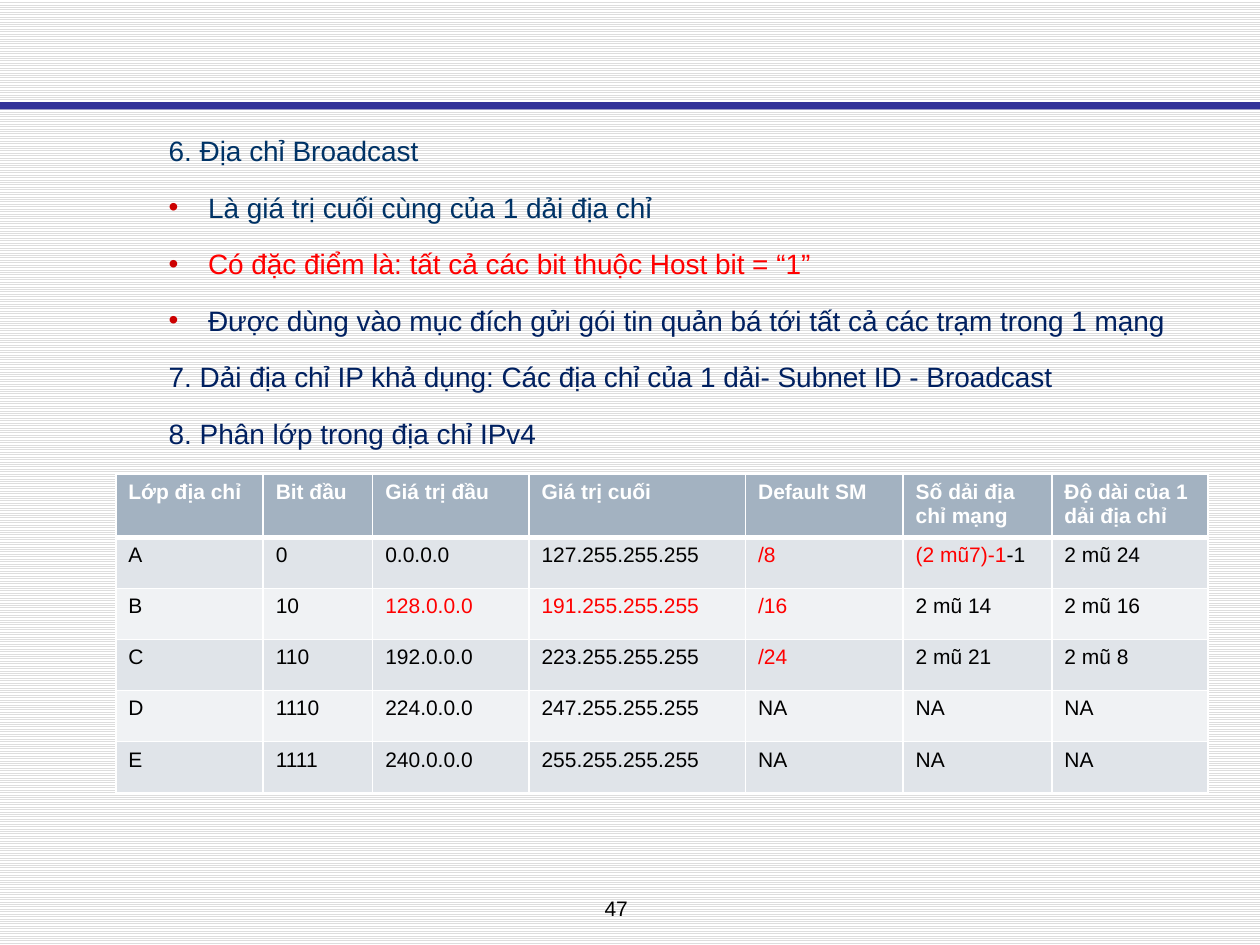
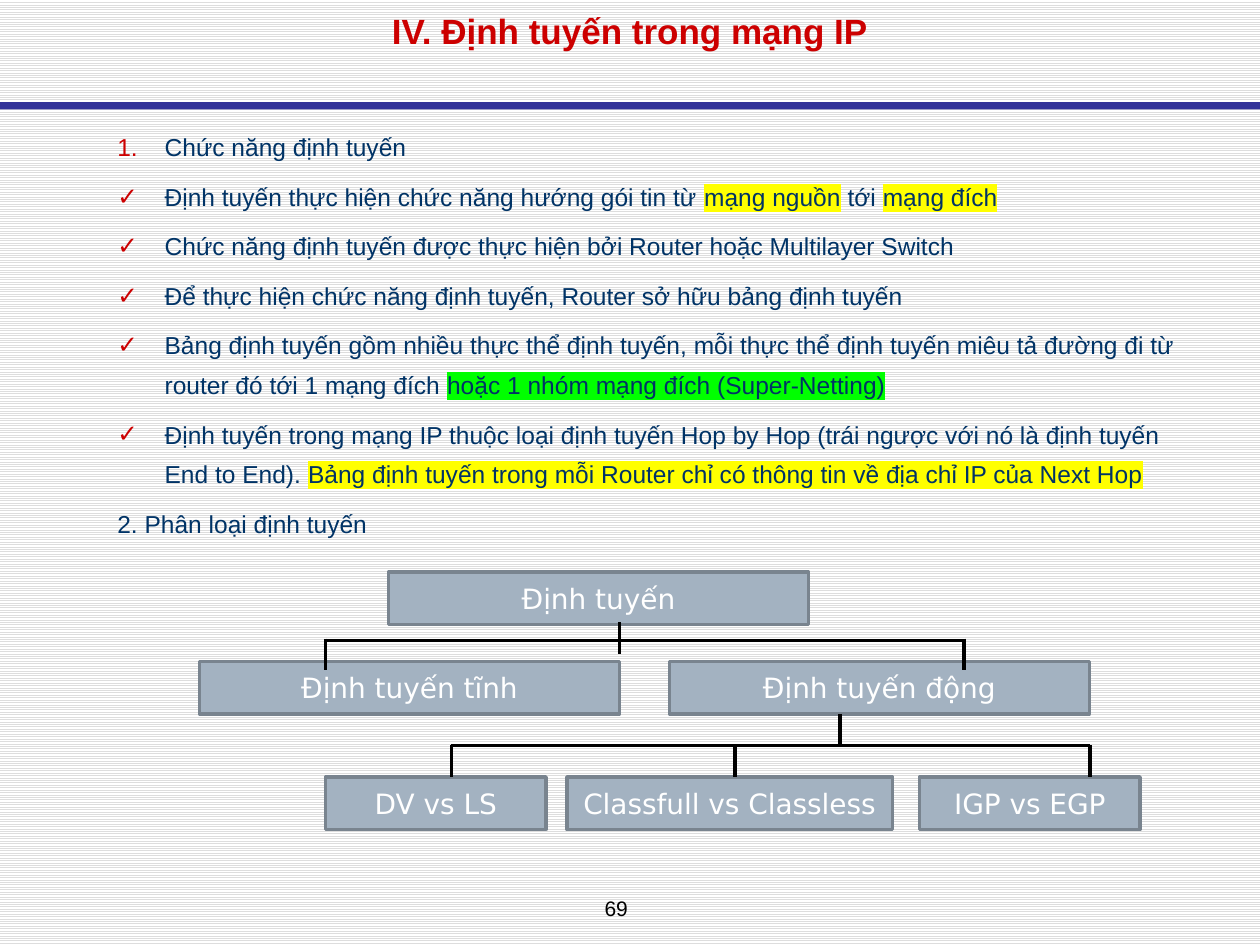
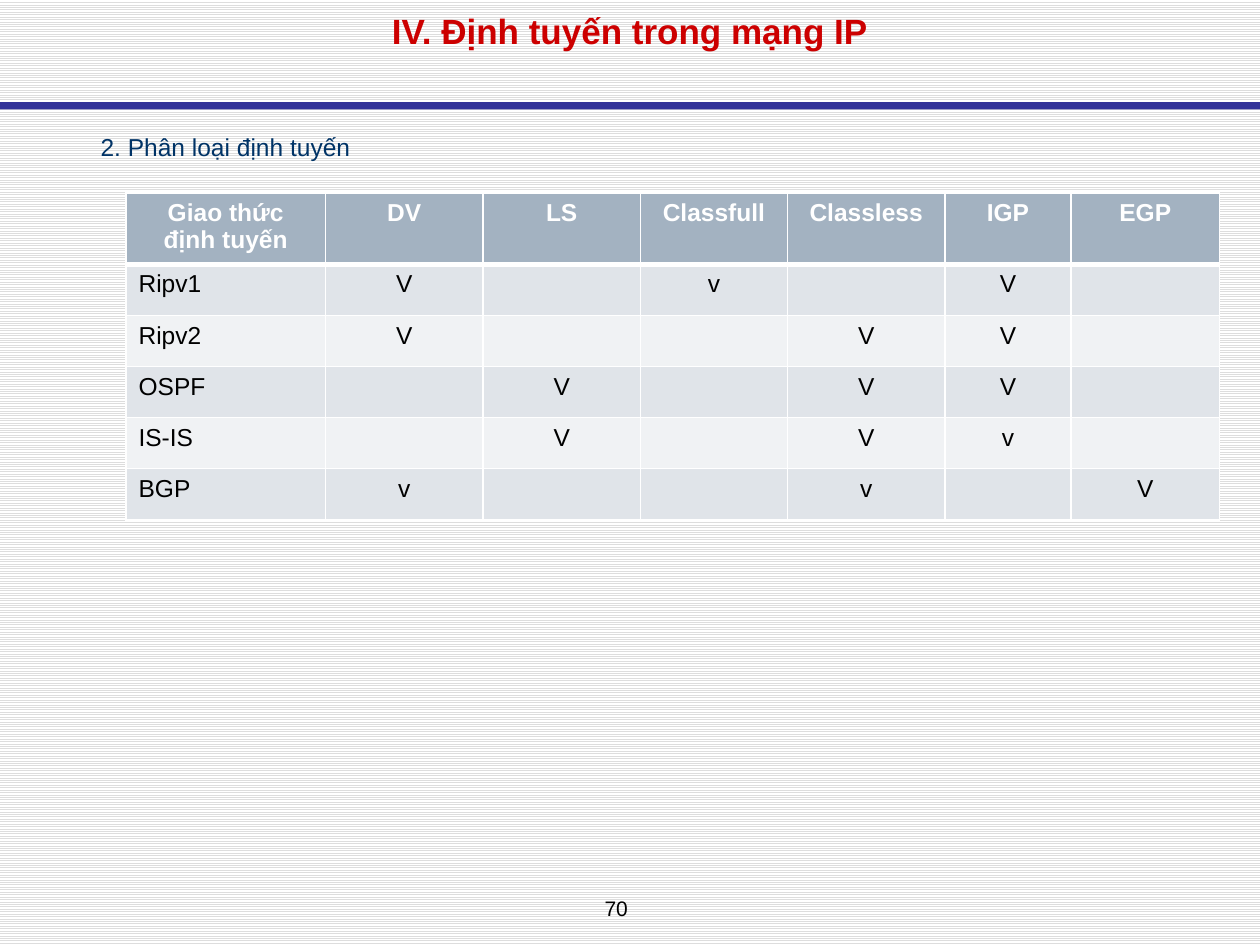
import pptx
import pptx.dml.color
import pptx.enum.dml
import pptx.enum.shapes
import pptx.enum.text
import pptx.oxml.ns
import pptx.util
from lxml import etree

Pt = pptx.util.Pt
ALIGN = pptx.enum.text.PP_ALIGN
ANCHOR = pptx.enum.text.MSO_ANCHOR
RECTANGLE = pptx.enum.shapes.MSO_SHAPE.RECTANGLE

COLORS = {
    "white": "FFFFFF", "black": "000000", "stripe": "DDDDDD", "band": "333399",
    "title": "CC0000", "body": "003366", "navy": "002060", "red": "FF0000",
    "steel": "A3B2C1", "steel_edge": "79848F", "row_dark": "E0E4E9", "row_light": "F0F2F4",
    "yellow": "FFFF00", "green": "00FF00",
}
ROUTING_TITLE = "IV. Định tuyến trong mạng IP"
ROUTING_TYPES = "2. Phân loại định tuyến"


def rgb(name):
    return pptx.dml.color.RGBColor.from_string(COLORS[name])


def child(parent, tag, **attributes):
    return etree.SubElement(parent, pptx.oxml.ns.qn(tag), attributes)


def color_child(parent, tag, color):
    child(child(parent, tag), "a:srgbClr", val=COLORS[color])


def red(text):
    return (text, {"color": "red"})


def navy(text):
    return (text, {"color": "navy"})


def marked(text, highlight="yellow"):
    return (text, {"highlight": highlight})


class Deck:
    def __init__(self):
        self.presentation = pptx.Presentation()
        self.presentation.slide_width = Pt(720)
        self.presentation.slide_height = Pt(540)
        fill = self.presentation.slide_master.background.fill
        fill.patterned()
        fill.pattern = pptx.enum.dml.MSO_PATTERN.LIGHT_HORIZONTAL
        fill.fore_color.rgb = rgb("stripe")
        fill.back_color.rgb = rgb("white")
        self.slide = None

    def new_slide(self, number, title=None):
        layout = "Title Only" if title else "Blank"
        layouts = self.presentation.slide_layouts
        self.slide = self.presentation.slides.add_slide(layouts.get_by_name(layout))
        self.rectangle(0, 58.4, 720, 4.2, "band")
        frame = self.text_box(293.8, 508.3, 116.6, 21.6)
        self.add_runs(frame.paragraphs[0], [str(number)], 12, "black", align=ALIGN.CENTER)
        if title:
            self.title(title)

    def title(self, text):
        shape = self.slide.shapes.title
        shape.left, shape.top, shape.width, shape.height = Pt(36), Pt(0), Pt(648), Pt(66)
        frame = shape.text_frame
        frame.auto_size = pptx.enum.text.MSO_AUTO_SIZE.NONE
        frame.vertical_anchor = ANCHOR.TOP
        frame.margin_top = Pt(5.5)
        self.add_runs(frame.paragraphs[0], [text], 20, "title", bold=True, align=ALIGN.CENTER)

    def add_runs(self, paragraph, runs, size, color, font="Arial", bold=False, align=None):
        paragraph.alignment = align
        for item in runs:
            text, options = (item, {}) if isinstance(item, str) else item
            run = paragraph.add_run()
            run.text = text
            run.font.size = Pt(size)
            run.font.bold = bold
            run.font.name = font
            run.font.color.rgb = rgb(options.get("color", color))
            if "highlight" in options:
                properties = run._r.get_or_add_rPr()
                color_child(properties, "a:highlight", options["highlight"])
                properties.find(pptx.oxml.ns.qn("a:solidFill")).addnext(properties[-1])

    def text_box(self, left, top, width, height):
        frame = self.slide.shapes.add_textbox(Pt(left), Pt(top), Pt(width), Pt(height)).text_frame
        frame.word_wrap = True
        return frame

    def body(self, left, top, width, height, size, paragraphs, indent=0):
        frame = self.text_box(left, top, width, height)
        for index, (bullet, runs) in enumerate(paragraphs):
            paragraph = frame.add_paragraph() if index else frame.paragraphs[0]
            paragraph.line_spacing = 1.35
            paragraph.space_before = Pt(size * 0.4)
            self.add_runs(paragraph, runs, size, "body")
            if bullet:
                self.bullet(paragraph, bullet, indent)

    def bullet(self, paragraph, bullet, indent):
        properties = paragraph._p.get_or_add_pPr()
        properties.set("marL", str(Pt(indent)))
        properties.set("indent", str(-Pt(indent)))
        color_child(properties, "a:buClr", "title")
        child(properties, "a:buFont", typeface="Arial")
        if bullet == "1.":
            child(properties, "a:buAutoNum", type="arabicPeriod")
        else:
            child(properties, "a:buChar", char=bullet)

    def rectangle(self, left, top, width, height, fill, edge=None):
        shape = self.slide.shapes.add_shape(RECTANGLE, Pt(left), Pt(top), Pt(width), Pt(height))
        shape.shadow.inherit = False
        shape.fill.solid()
        shape.fill.fore_color.rgb = rgb(fill)
        if edge:
            shape.line.color.rgb = rgb(edge)
            shape.line.width = Pt(2)
        else:
            shape.line.fill.background()
        return shape

    def node(self, text, left, top, width):
        frame = self.rectangle(left, top, width, 30, "steel", "steel_edge").text_frame
        frame.vertical_anchor = ANCHOR.MIDDLE
        self.add_runs(frame.paragraphs[0], [text], 16, "white", "DejaVu Sans", align=ALIGN.CENTER)

    def line(self, x1, y1, x2, y2):
        connector = self.slide.shapes.add_connector(
            pptx.enum.shapes.MSO_CONNECTOR.STRAIGHT, Pt(x1), Pt(y1), Pt(x2), Pt(y2))
        connector.line.color.rgb = rgb("black")
        connector.line.width = Pt(2)
        child(connector._element.spPr, "a:effectLst")

    def bracket(self, bar_y, drop_y, drops, trunk_x, trunk_y, length=18):
        self.line(drops[0], bar_y, drops[-1], bar_y)
        for x in drops:
            self.line(x, drop_y, x, drop_y + length)
        self.line(trunk_x, trunk_y, trunk_x, trunk_y + length)

    def borders(self, cell, row):
        properties = cell._tc.get_or_add_tcPr()
        thick = {"a:lnB": row == 0, "a:lnT": row == 1}
        for side in ("a:lnL", "a:lnR", "a:lnT", "a:lnB"):
            border = child(properties, side, w=str(Pt(3 if thick.get(side) else 1)))
            color_child(border, "a:solidFill", "white")

    def table(self, left, top, widths, row_height, size, rows, centered=False):
        frame = self.slide.shapes.add_table(
            len(rows), len(widths), Pt(left), Pt(top), Pt(sum(widths)), Pt(row_height * len(rows)))
        table = frame.table
        table.horz_banding = False
        for column, width in zip(table.columns, widths):
            column.width = Pt(width)
        for row_index, row in enumerate(rows):
            table.rows[row_index].height = Pt(row_height)
            header = row_index == 0
            fill = "steel" if header else ("row_light", "row_dark")[row_index % 2]
            for column_index, content in enumerate(row):
                cell = table.cell(row_index, column_index)
                self.borders(cell, row_index)
                cell.fill.solid()
                cell.fill.fore_color.rgb = rgb(fill)
                if content:
                    runs = content if isinstance(content, list) else [content]
                    align = ALIGN.CENTER if centered and (header or column_index) else None
                    self.add_runs(cell.text_frame.paragraphs[0], runs, size,
                                  "white" if header else "black", bold=header, align=align)


def address_classes(deck):
    deck.new_slide(47)
    deck.body(89.3, 66.2, 612.7, 396, 16, [
        (None, ["6. Địa chỉ Broadcast"]),
        ("•", ["Là giá trị cuối cùng của 1 dải địa chỉ"]),
        ("•", [red("Có đặc điểm là: tất cả các bit thuộc Host bit = “1”")]),
        ("•", [navy("Được dùng vào mục đích gửi gói tin quản bá tới tất cả các trạm trong 1 mạng")]),
        (None, [navy("7. Dải địa chỉ IP khả dụng: Các địa chỉ của 1 dải- Subnet ID - Broadcast")]),
        (None, [navy("8. Phân lớp trong địa chỉ IPv4")]),
    ], indent=22.5)
    deck.table(66.2, 271, [84.2, 62.6, 89.3, 123.8, 90, 85, 89.3], 29.2, 12, [
        ["Lớp địa chỉ", "Bit đầu", "Giá trị đầu", "Giá trị cuối", "Default SM",
         "Số dải địa chỉ mạng", "Độ dài của 1 dải địa chỉ"],
        ["A", "0", "0.0.0.0", "127.255.255.255", red("/8"), [red("(2 mũ7)-1"), "-1"], "2 mũ 24"],
        ["B", "10", red("128.0.0.0"), red("191.255.255.255"), red("/16"), "2 mũ 14", "2 mũ 16"],
        ["C", "110", "192.0.0.0", "223.255.255.255", red("/24"), "2 mũ 21", "2 mũ 8"],
        ["D", "1110", "224.0.0.0", "247.255.255.255", "NA", "NA", "NA"],
        ["E", "1111", "240.0.0.0", "255.255.255.255", "NA", "NA", "NA"],
    ])


def routing_overview(deck):
    deck.new_slide(69, ROUTING_TITLE)
    deck.body(60, 66.2, 637, 204, 14, [
        ("1.", ["Chức năng định tuyến"]),
        ("✓", ["Định tuyến thực hiện chức năng hướng gói tin từ ", marked("mạng nguồn"),
               " tới ", marked("mạng đích")]),
        ("✓", ["Chức năng định tuyến được thực hiện bởi Router hoặc Multilayer Switch"]),
        ("✓", ["Để thực hiện chức năng định tuyến, Router sở hữu bảng định tuyến"]),
        ("✓", ["Bảng định tuyến gồm nhiều thực thể định tuyến, mỗi thực thể định tuyến "
               "miêu tả đường đi từ router đó tới 1 mạng đích ",
               marked("hoặc 1 nhóm mạng đích (Super-Netting)", "green")]),
        ("✓", ["Định tuyến trong mạng IP thuộc loại định tuyến Hop by Hop "
               "(trái ngược với nó là định tuyến End to End). ",
               marked("Bảng định tuyến trong mỗi Router chỉ có thông tin về "
                      "địa chỉ IP của Next Hop")]),
        (None, [ROUTING_TYPES]),
    ], indent=27)
    for text, left, top, width in [
        ("Định tuyến", 222, 327, 240),
        ("Định tuyến tĩnh", 114, 378, 240),
        ("Định tuyến động", 382.5, 378, 240),
        ("DV vs LS", 186, 444, 126),
        ("Classfull vs Classless", 324, 444, 186),
        ("IGP vs EGP", 525.5, 444, 126),
    ]:
        deck.node(text, left, top, width)
    deck.bracket(426, 426, [258, 420, 622.8], 480, 408)
    deck.bracket(366, 365, [186, 550.8], 354, 355.7)


def routing_protocols(deck):
    deck.new_slide(70, ROUTING_TITLE)
    deck.body(50.4, 66.2, 637, 204, 14, [(None, [ROUTING_TYPES])])
    deck.table(72, 110.2, [114, 90, 90, 84, 90, 72, 85], 29.2, 14, [
        ["Giao thức định tuyến", "DV", "LS", "Classfull", "Classless", "IGP", "EGP"],
        ["Ripv1", "V", "", "v", "", "V", ""],
        ["Ripv2", "V", "", "", "V", "V", ""],
        ["OSPF", "", "V", "", "V", "V", ""],
        ["IS-IS", "", "V", "", "V", "v", ""],
        ["BGP", "v", "", "", "v", "", "V"],
    ], centered=True)


def main():
    deck = Deck()
    address_classes(deck)
    routing_overview(deck)
    routing_protocols(deck)
    deck.presentation.save("out.pptx")


if __name__ == "__main__":
    main()
